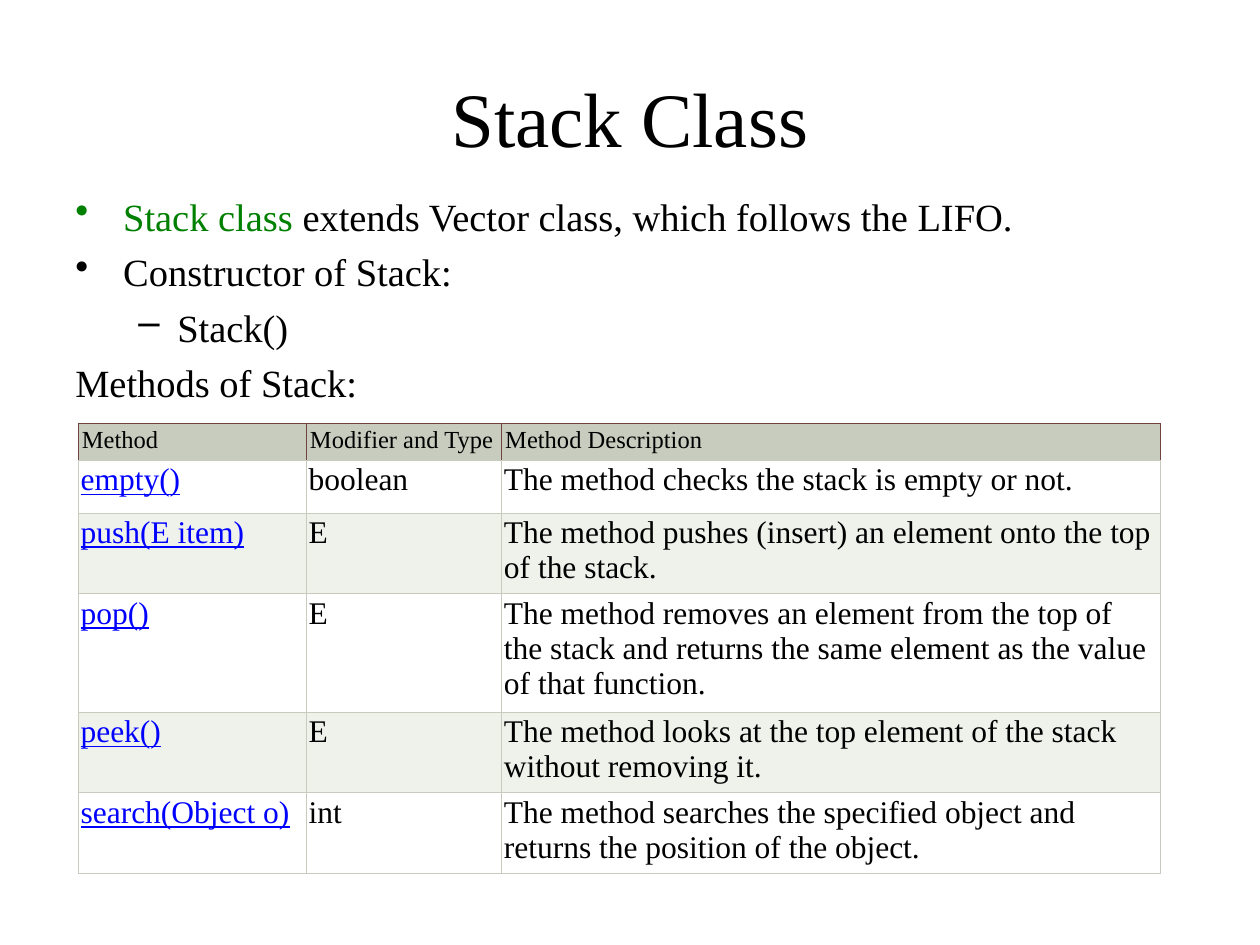
import pptx
import pptx.dml.color
import pptx.enum.text
import pptx.oxml
import pptx.oxml.ns
import pptx.util
from pptx.util import Inches

RGBColor = pptx.dml.color.RGBColor
BLACK = RGBColor(0x00, 0x00, 0x00)
GREEN = RGBColor(0x00, 0x80, 0x00)
BLUE = RGBColor(0x00, 0x00, 0xFF)
WHITE = RGBColor(0xFF, 0xFF, 0xFF)
SAGE = RGBColor(0xC7, 0xCC, 0xBE)
PALE_SAGE = RGBColor(0xEF, 0xF1, 0xEB)
BROWN = RGBColor(0x70, 0x43, 0x3F)
FONT = "Times New Roman"


def add_text(paragraph, text, size=22, color=BLACK, underline=False):
    run = paragraph.add_run()
    run.text = text
    run.font.name = FONT
    run.font.size = pptx.util.Pt(size)
    run.font.color.rgb = color
    run.font.underline = underline


def add_border(cell, side, color):
    cell._tc.get_or_add_tcPr().append(pptx.oxml.parse_xml(
        f'<a:{side} {pptx.oxml.ns.nsdecls("a")} w="6350"><a:solidFill>'
        f'<a:srgbClr val="{color}"/></a:solidFill></a:{side}>'))


presentation = pptx.Presentation()
presentation.slide_width = Inches(10)
presentation.slide_height = Inches(7.5)
slide = presentation.slides.add_slide(presentation.slide_layouts[6])

# Title
title = slide.shapes.add_textbox(Inches(0.5), Inches(0.3), Inches(9), Inches(1.25))
title.text_frame.word_wrap = True
title.text_frame.vertical_anchor = pptx.enum.text.MSO_ANCHOR.MIDDLE
title_paragraph = title.text_frame.paragraphs[0]
title_paragraph.alignment = pptx.enum.text.PP_ALIGN.CENTER
add_text(title_paragraph, "Stack Class", size=44)

# Bullet list: level, left margin, hanging indent, bullet, coloured runs
body = slide.shapes.add_textbox(Inches(0.5), Inches(1.48), Inches(9), Inches(5.22))
body.text_frame.word_wrap = True
body_lines = [
    (0, 0.38, 0.38, "•", [("Stack class", GREEN),
                          (" extends Vector class, which follows the LIFO.", BLACK)]),
    (0, 0.38, 0.38, "•", [("Constructor of Stack:", BLACK)]),
    (1, 0.81, 0.31, "–", [("Stack()", BLACK)]),
    (0, 0, 0, None, [("Methods of Stack:", BLACK)]),
]
for index, (level, margin, hanging, bullet, runs) in enumerate(body_lines):
    paragraph = body.text_frame.paragraphs[0] if index == 0 else body.text_frame.add_paragraph()
    paragraph.level = level
    paragraph.space_before = pptx.util.Pt(5.3)
    properties = paragraph._p.get_or_add_pPr()
    properties.set("marL", str(Inches(margin)))
    properties.set("indent", str(-Inches(hanging)))
    if bullet:
        properties.append(pptx.oxml.parse_xml(
            f'<a:buChar {pptx.oxml.ns.nsdecls("a")} char="{bullet}"/>'))
    for text, color in runs:
        add_text(paragraph, text, color=color)

# Methods table
rows = [
    ("Method", "Modifier and Type", "Method Description"),
    ("empty()", "boolean", "The method checks the stack is empty or not."),
    ("push(E item)", "E",
     "The method pushes (insert) an element onto the top of the stack."),
    ("pop()", "E",
     "The method removes an element from the top of the stack and returns "
     "the same element as the value of that function."),
    ("peek()", "E",
     "The method looks at the top element of the stack without removing it."),
    ("search(Object o)", "int",
     "The method searches the specified object and returns the position of the object."),
]
column_widths = [1.81, 1.55, 5.23]
row_heights = [0.27, 0.42, 0.59, 0.88, 0.62, 0.62]
table = slide.shapes.add_table(
    len(rows), len(column_widths), Inches(0.62), Inches(3.36),
    Inches(sum(column_widths)), Inches(sum(row_heights))).table
table.first_row = False
table.horz_banding = False
for column, width in zip(table.columns, column_widths):
    column.width = Inches(width)

for row_index, (texts, height) in enumerate(zip(rows, row_heights)):
    table.rows[row_index].height = Inches(height)
    is_header = row_index == 0
    if is_header:
        fill_color = SAGE
    else:
        fill_color = WHITE if row_index % 2 else PALE_SAGE
    for column_index, text in enumerate(texts):
        cell = table.cell(row_index, column_index)
        inset = Inches(0.03 if is_header else 0.02)
        cell.margin_left = cell.margin_right = inset
        cell.margin_top = cell.margin_bottom = inset
        for side in ("lnL", "lnR", "lnT", "lnB"):
            add_border(cell, side, BROWN if is_header and side != "lnB" else SAGE)
        cell.fill.solid()
        cell.fill.fore_color.rgb = fill_color
        is_method = column_index == 0 and not is_header
        add_text(cell.text_frame.paragraphs[0], text, size=14 if is_header else 18,
                 color=BLUE if is_method else BLACK, underline=is_method)

presentation.save("out.pptx")
